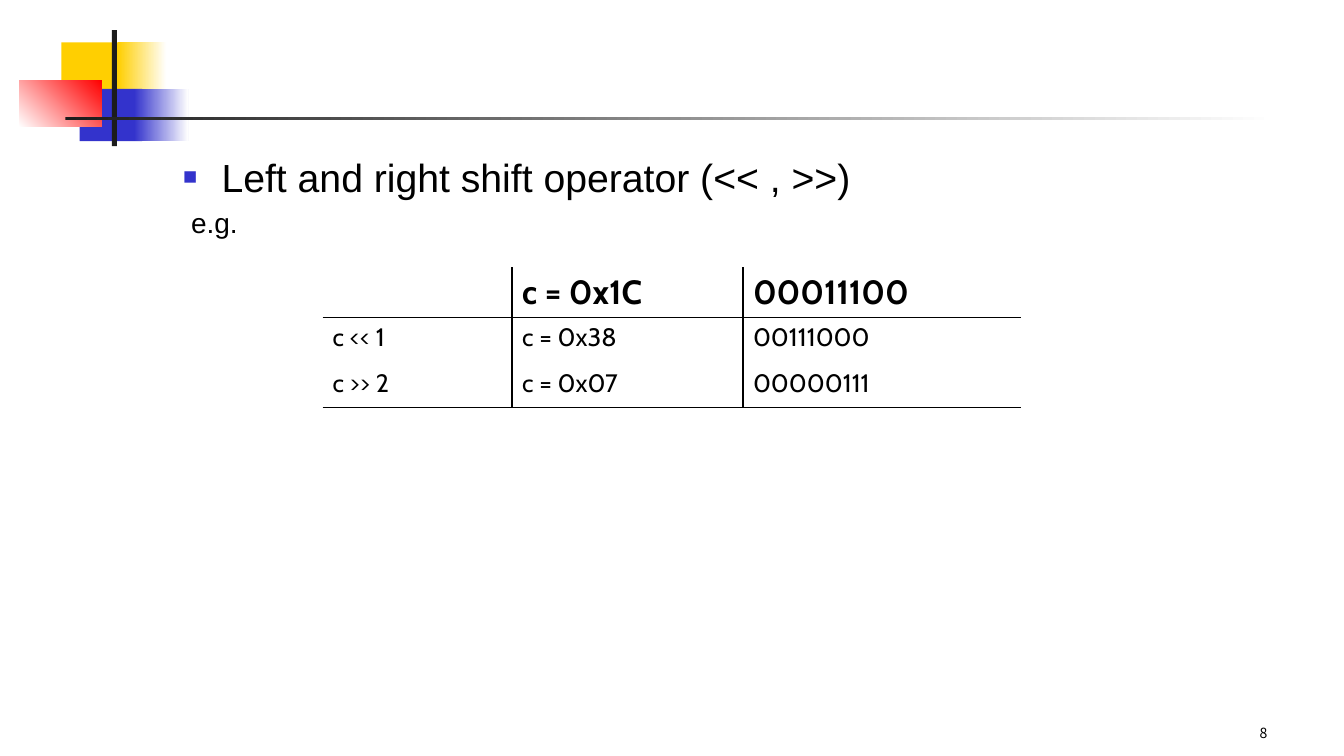
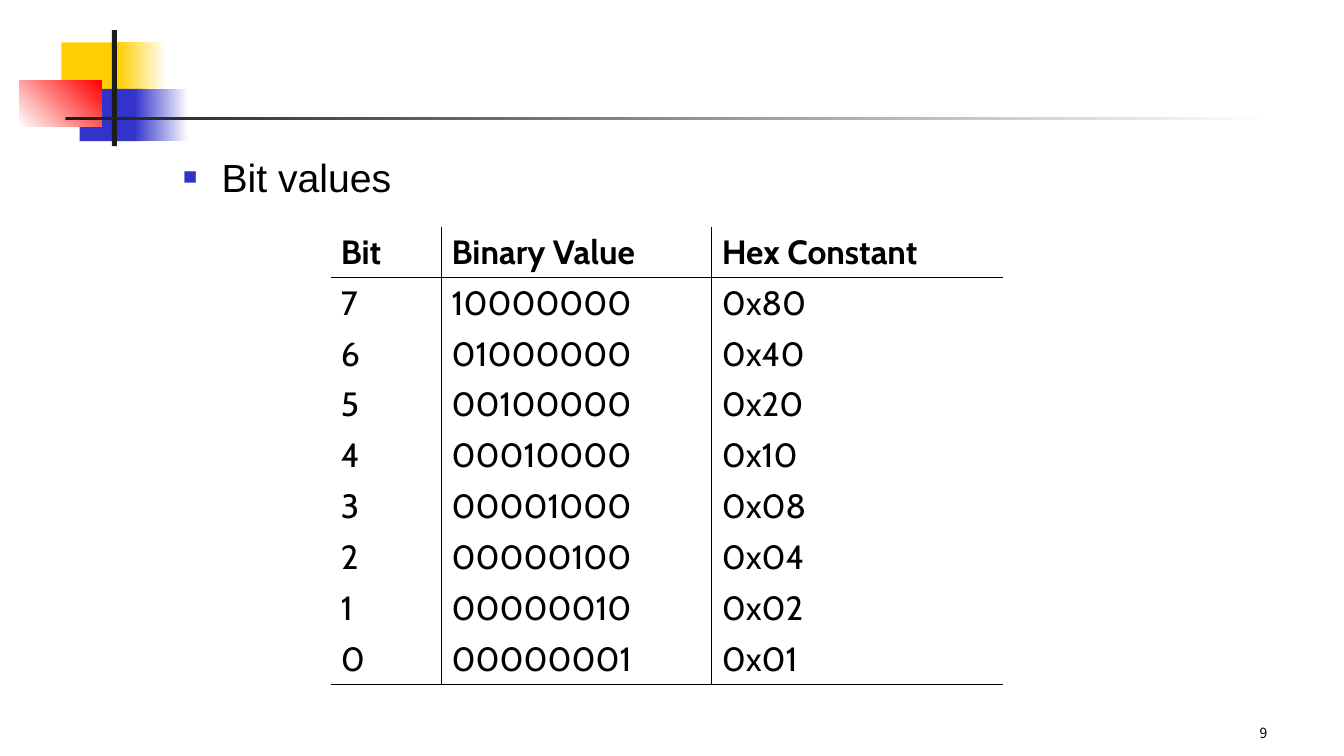
import pptx
import pptx.dml.color
import pptx.enum.shapes
import pptx.enum.text
import pptx.oxml
import pptx.oxml.ns
import pptx.util
from lxml import etree

Pt = pptx.util.Pt

BLACK, WHITE, DARK = "000000", "FFFFFF", "1C1C1C"
YELLOW, BLUE, RED = "FFCF01", "3333CC", "FF0000"
BODY_FONT, TABLE_FONT, NUMBER_FONT = "Arial", "Cabin", "Noto Sans CJK KR"

ORNAMENT_BOX = (13.7, 21.6)
BODY_BOX = (123.8, 105.8, 799.2, 391)
NUMBER_BOX = (712.1, 508.3, 200.2, 24.5)
SPACE_BEFORE = 3.6

# Left, top, width, height within the ornament, then fill colours and angle.
ORNAMENT_PARTS = [
    (30.2, 8.6, 46.1, 37.4, [YELLOW], 0),
    (70.5, 8.6, 34.6, 37.4, [YELLOW, WHITE], 0),
    (43.2, 41.8, 44.6, 37.4, [BLUE], 0),
    (82.1, 41.8, 38.9, 37.4, [BLUE, WHITE], 0),
    (0, 36, 59, 33.1, [WHITE, RED], 45),
    (66.2, 0, 3.6, 82.8, [DARK], 0),
    (33.1, 61.9, 864, 2.4, [DARK, WHITE], 0),
]


def rgb(value):
    """Turn a hex string into a colour."""
    return pptx.dml.color.RGBColor.from_string(value)


def add_run(paragraph, text, size, font, bold=False):
    """Add one black run to a paragraph."""
    run = paragraph.add_run()
    run.text = text
    run.font.size = Pt(size)
    run.font.name = font
    run.font.bold = bold
    run.font.color.rgb = rgb(BLACK)


def add_text_frame(slide, box):
    """Add a wrapping text box and return its text frame."""
    frame = slide.shapes.add_textbox(*map(Pt, box)).text_frame
    frame.word_wrap = True
    return frame


def add_ornament(slide, box):
    """Draw the coloured blocks and the crossing bars of the header."""
    left, top = box
    for x, y, width, height, colors, angle in ORNAMENT_PARTS:
        shape = slide.shapes.add_shape(
            pptx.enum.shapes.MSO_SHAPE.RECTANGLE,
            Pt(left + x), Pt(top + y), Pt(width), Pt(height))
        shape.shadow.inherit = False
        shape.line.fill.background()
        if len(colors) == 1:
            shape.fill.solid()
            shape.fill.fore_color.rgb = rgb(colors[0])
        else:
            shape.fill.gradient()
            shape.fill.gradient_angle = angle
            for stop, color in zip(shape.fill.gradient_stops, colors):
                stop.color.rgb = rgb(color)


def add_bullet(paragraph, indent):
    """Give a paragraph a small blue square with a hanging indent."""
    properties = paragraph._p.get_or_add_pPr()
    properties.set("marL", str(Pt(indent)))
    properties.set("indent", str(-Pt(indent)))
    namespace = pptx.oxml.ns.nsdecls("a")
    for xml in (
        f'<a:buClr {namespace}><a:srgbClr val="{BLUE}"/></a:buClr>',
        f'<a:buSzPct {namespace} val="60000"/>',
        f'<a:buFont {namespace} typeface="{BODY_FONT}"/>',
        f'<a:buChar {namespace} char="■"/>',
    ):
        properties.append(pptx.oxml.parse_xml(xml))


def add_body(slide, box, heading, remark=None):
    """Write the bulleted heading and an optional remark below it."""
    frame = add_text_frame(slide, box)
    paragraph = frame.paragraphs[0]
    paragraph.space_before = Pt(SPACE_BEFORE)
    add_bullet(paragraph, 27.4)
    add_run(paragraph, heading, 28, BODY_FONT)
    if remark:
        paragraph = frame.add_paragraph()
        paragraph.space_before = Pt(SPACE_BEFORE)
        paragraph._p.get_or_add_pPr().set("marL", str(Pt(5.6)))
        add_run(paragraph, remark, 20, BODY_FONT)


def add_slide_number(slide, box, number):
    """Write the slide number at the bottom right of its box."""
    frame = add_text_frame(slide, box)
    frame.vertical_anchor = pptx.enum.text.MSO_ANCHOR.BOTTOM
    paragraph = frame.paragraphs[0]
    paragraph.alignment = pptx.enum.text.PP_ALIGN.RIGHT
    add_run(paragraph, str(number), 10, NUMBER_FONT)


def set_borders(cell, visible):
    """Draw the sides that are visible in black and hide the others."""
    properties = cell._tc.get_or_add_tcPr()
    qualify = pptx.oxml.ns.qn
    for side in "LRTB":
        line = etree.SubElement(properties, qualify(f"a:ln{side}"), w=str(Pt(1)))
        if side in visible:
            fill = etree.SubElement(line, qualify("a:solidFill"))
            etree.SubElement(fill, qualify("a:srgbClr"), val=BLACK)
        else:
            etree.SubElement(line, qualify("a:noFill"))


def add_ruled_table(slide, corner, widths, heights, rows, body_size):
    """Add a table ruled between columns, under its header and at its foot."""
    left, top = corner
    table = slide.shapes.add_table(
        len(rows), len(widths), Pt(left), Pt(top),
        Pt(sum(widths)), Pt(sum(heights))).table
    table.first_row = table.horz_banding = False
    for column, width in zip(table.columns, widths):
        column.width = Pt(width)
    for row_index, (texts, height) in enumerate(zip(rows, heights)):
        table.rows[row_index].height = Pt(height)
        is_header = row_index == 0
        for column_index, text in enumerate(texts):
            cell = table.cell(row_index, column_index)
            rules = {
                "L": column_index > 0,
                "R": column_index < len(widths) - 1,
                "T": row_index == 1,
                "B": row_index in (0, len(rows) - 1),
            }
            set_borders(cell, [side for side, shown in rules.items() if shown])
            cell.fill.background()
            if text:
                add_run(cell.text_frame.paragraphs[0], text,
                        24 if is_header else body_size, TABLE_FONT, is_header)


def add_base_slide(presentation, number, heading, remark=None):
    """Add a slide with the ornament, the heading and the slide number."""
    slide = presentation.slides.add_slide(presentation.slide_layouts[6])
    add_ornament(slide, ORNAMENT_BOX)
    add_body(slide, BODY_BOX, heading, remark)
    add_slide_number(slide, NUMBER_BOX, number)
    return slide


def add_shift_slide(presentation):
    """Add the slide on the shift operators."""
    slide = add_base_slide(
        presentation, 8, "Left and right shift operator (<< , >>)", "e.g.")
    rows = [
        ("", "c = 0x1C", "00011100"),
        ("c << 1", "c = 0x38", "00111000"),
        ("c >> 2", "c = 0x07", "00000111"),
    ]
    add_ruled_table(slide, (230.4, 190.8), (135.4, 164.9, 198.7),
                    (36, 32.2, 32.2), rows, 18)


def add_bit_values_slide(presentation):
    """Add the slide that lists the value of each bit in a byte."""
    slide = add_base_slide(presentation, 9, "Bit values")
    rows = [("Bit", "Binary Value", "Hex Constant")]
    for bit in range(7, -1, -1):
        rows.append((str(bit), f"{1 << bit:08b}", f"0x{1 << bit:02X}"))
    add_ruled_table(slide, (236.2, 162), (79.2, 193, 208.1),
                    [36.36] * len(rows), rows, 24)


def main():
    """Build and save the presentation."""
    presentation = pptx.Presentation()
    presentation.slide_width = Pt(960)
    presentation.slide_height = Pt(540)
    add_shift_slide(presentation)
    add_bit_values_slide(presentation)
    presentation.save("out.pptx")


main()
